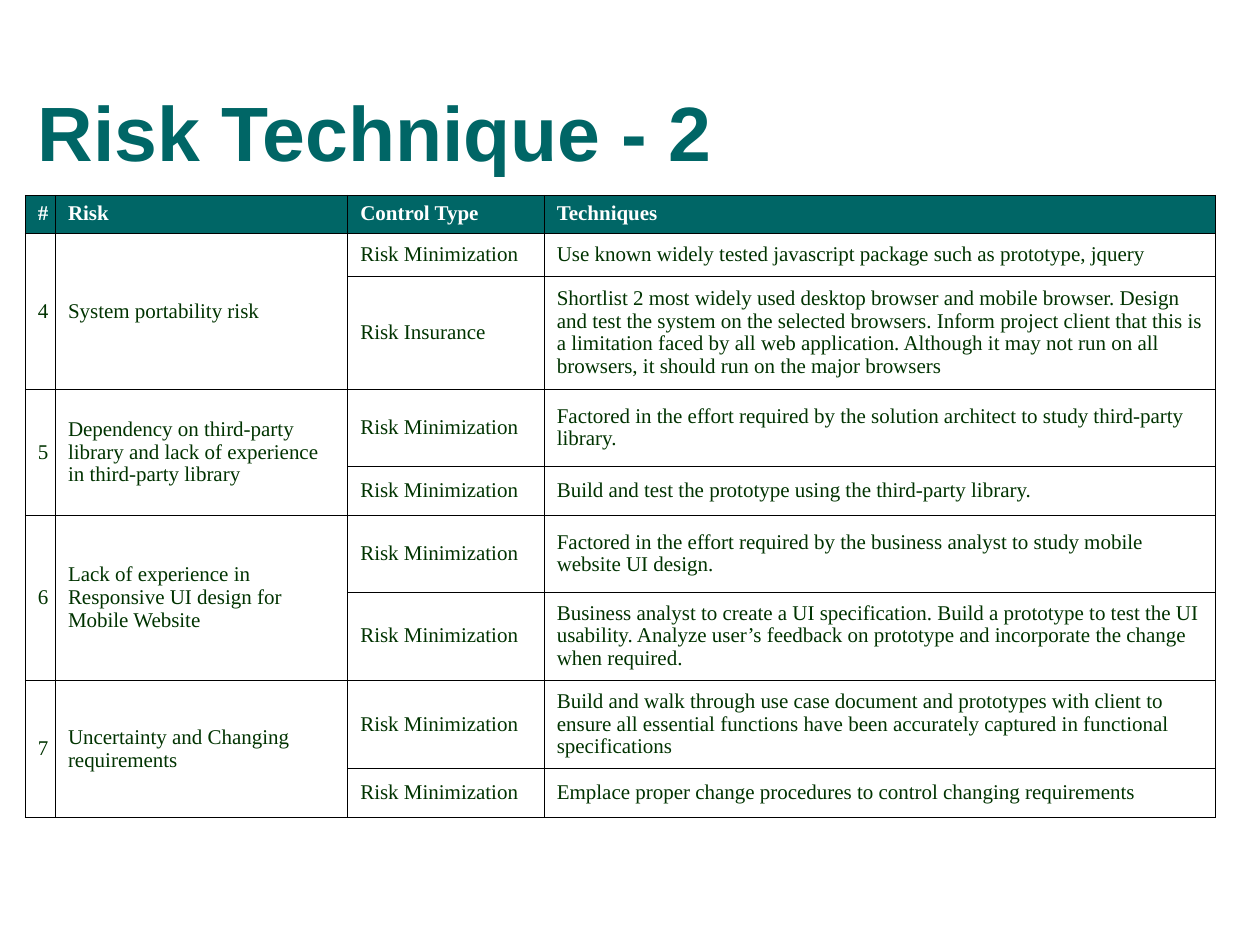
from dataclasses import dataclass

from lxml import etree
from pptx import Presentation
from pptx.dml.color import RGBColor
from pptx.enum.text import MSO_ANCHOR
from pptx.oxml.ns import qn
from pptx.util import Inches, Pt

MIDDLE = MSO_ANCHOR.MIDDLE

HEADING = "Risk Technique - 2"
HEADERS = ["#", "Risk", "Control Type", "Techniques"]
MINIMIZE = "Risk Minimization"
INSURE = "Risk Insurance"
RISKS = [
    ("4", "System portability risk", [
        (MINIMIZE, "Use known widely tested javascript package such as prototype, jquery"),
        (INSURE, "Shortlist 2 most widely used desktop browser and mobile browser. Design and test "
                 "the system on the selected browsers. Inform project client that this is a limitation "
                 "faced by all web application. Although it may not run on all browsers, it should run "
                 "on the major browsers"),
    ]),
    ("5", "Dependency on third-party library and lack of experience in third-party library", [
        (MINIMIZE, "Factored in the effort required by the solution architect to study third-party library."),
        (MINIMIZE, "Build and test the prototype using the third-party library."),
    ]),
    ("6", "Lack of experience in Responsive UI design for Mobile Website", [
        (MINIMIZE, "Factored in the effort required by the business analyst to study mobile website UI design."),
        (MINIMIZE, "Business analyst to create a UI specification. Build a prototype to test the UI usability. "
                   "Analyze user’s feedback on prototype and incorporate the change when required."),
    ]),
    ("7", "Uncertainty and Changing requirements", [
        (MINIMIZE, "Build and walk through use case document and prototypes with client to ensure all "
                   "essential functions have been accurately captured in functional specifications"),
        (MINIMIZE, "Emplace proper change procedures to control changing requirements"),
    ]),
]

SLIDE_SIZE = (10, 7.5)
HEADING_BOX = (0.2, 0.56, 8.58, 0.96)
TABLE_ORIGIN = (0.2, 1.55)
COLUMNS = [0.24, 2.32, 1.56, 5.33]
ROWS = [0.3, 0.34, 0.9, 0.61, 0.39, 0.61, 0.7, 0.7, 0.39]


@dataclass(frozen=True)
class Theme:
    teal: str = "006666"
    ink: str = "003300"
    white: str = "FFFFFF"
    rule: str = "000000"
    rule_width: float = 0.45
    heading_font: str = "Arial"
    table_font: str = "Times New Roman"
    heading_size: int = 44
    table_size: int = 12
    line_spacing: float = 0.97


THEME = Theme()


def write(frame, words, font, size, color, bold):
    frame.text = words
    style = frame.paragraphs[0].runs[0].font
    style.name, style.size, style.bold = font, Pt(size), bold
    style.color.rgb = RGBColor.from_string(color)


def rule_cell(cell):
    properties = cell._tc.get_or_add_tcPr()
    for side in ("a:lnL", "a:lnR", "a:lnT", "a:lnB"):
        line = etree.SubElement(properties, qn(side), w=str(Pt(THEME.rule_width)))
        fill = etree.SubElement(line, qn("a:solidFill"))
        etree.SubElement(fill, qn("a:srgbClr"), val=THEME.rule)


def fill_cell(cell, words, is_header):
    color = THEME.white if is_header else THEME.ink
    write(cell.text_frame, words, THEME.table_font, THEME.table_size, color, is_header)
    cell.text_frame.paragraphs[0].line_spacing = THEME.line_spacing
    cell.vertical_anchor = MIDDLE


def add_heading(slide):
    frame = slide.shapes.add_textbox(*map(Inches, HEADING_BOX)).text_frame
    frame.word_wrap = True
    frame.vertical_anchor = MIDDLE
    write(frame, HEADING, THEME.heading_font, THEME.heading_size, THEME.teal, True)


def add_risk_table(slide):
    extent = (*TABLE_ORIGIN, sum(COLUMNS), sum(ROWS))
    table = slide.shapes.add_table(len(ROWS), len(COLUMNS), *map(Inches, extent)).table
    table.horz_banding = False
    for column, width in zip(table.columns, COLUMNS):
        column.width = Inches(width)
    for row, height in zip(table.rows, ROWS):
        row.height = Inches(height)

    for cell in table.iter_cells():
        cell.margin_left = cell.margin_right = Inches(0.1)
        cell.margin_top = cell.margin_bottom = Inches(0.05)
        rule_cell(cell)
        cell.fill.background()

    for column, label in enumerate(HEADERS):
        header = table.cell(0, column)
        fill_cell(header, label, True)
        header.fill.solid()
        header.fill.fore_color.rgb = RGBColor.from_string(THEME.teal)

    first = 1
    for number, risk, controls in RISKS:
        last = first + len(controls) - 1
        for column, words in enumerate((number, risk)):
            table.cell(first, column).merge(table.cell(last, column))
            fill_cell(table.cell(first, column), words, False)
        for row, control in enumerate(controls, first):
            for column, words in enumerate(control, 2):
                fill_cell(table.cell(row, column), words, False)
        first = last + 1


def main():
    deck = Presentation()
    deck.slide_width, deck.slide_height = map(Inches, SLIDE_SIZE)
    slide = deck.slides.add_slide(deck.slide_layouts[6])
    add_heading(slide)
    add_risk_table(slide)
    deck.save("out.pptx")


if __name__ == "__main__":
    main()
